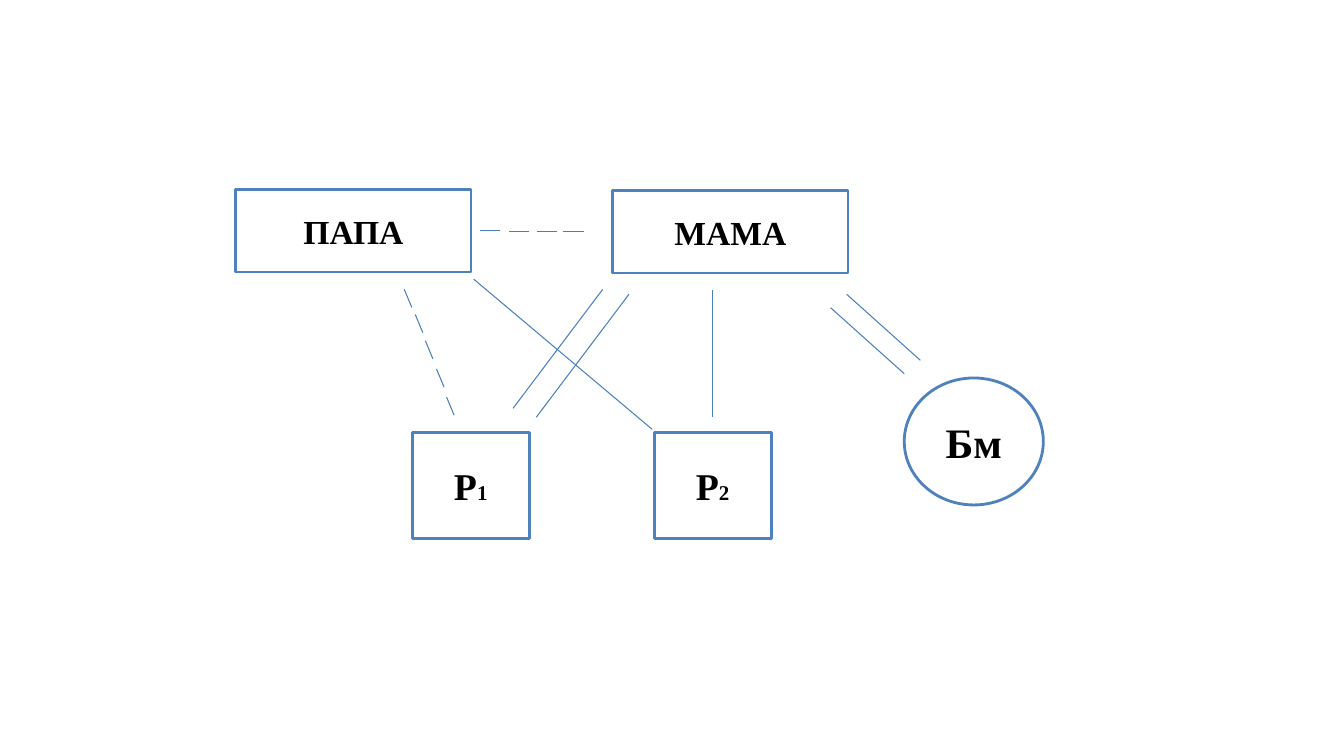
from dataclasses import dataclass

from lxml.etree import SubElement
from pptx import Presentation
from pptx.dml.color import RGBColor
from pptx.enum.shapes import MSO_CONNECTOR as Connector, MSO_SHAPE as Shape
from pptx.enum.text import MSO_ANCHOR as Anchor, PP_ALIGN as Align
from pptx.oxml.ns import qn
from pptx.slide import Slide
from pptx.util import Inches, Pt

COLORS = {"fill": "FFFFFF", "border": "4F81BD", "bond": "4B7EBC", "text": "000000"}
FONT = "Times New Roman"
WIDTH, HEIGHT = Inches(13.333), Inches(7.5)


# Positions and sizes are percentages of the slide's width and height
@dataclass
class Member:
    runs: list[tuple[str, int]]
    x: float
    y: float
    w: float
    h: float
    shape: Shape = Shape.RECTANGLE


@dataclass
class Bond:
    """Equal parallel strokes, given by their starts and common extent."""
    starts: list[tuple[float, float]]
    dx: float
    dy: float


PARENT = (17.5, 10.93)
CHILD = (8.7, 14)

MEMBERS = [
    Member([("ПАПА", 24)], 17.55, 25.07, *PARENT),
    Member([("МАМА", 24)], 45.6, 25.2, *PARENT),
    Member([("Бм", 30)], 67.28, 50, 10.35, 16.8, Shape.OVAL),
    Member([("Р", 27), ("2", 15)], 48.68, 57.2, *CHILD),
    Member([("Р", 27), ("1", 15)], 30.68, 57.2, *CHILD),
]

BONDS = [
    # Mother and grandmother
    Bond([(63, 38.93), (61.8, 40.7)], 5.48, 8.73),
    # Father and second child
    Bond([(35.25, 36.93)], 13.28, 19.87),
    # Mother and second child
    Bond([(53.02, 38.4)], 0, 16.8),
    # Mother and first child
    Bond([(46.8, 38.93)], -6.9, 16.27),
    Bond([(44.85, 38.27)], -6.67, 15.73),
    # Father and mother, broken
    Bond([(35.7, 30.53), (37.88, 30.67), (39.98, 30.67), (41.93, 30.67)], 1.5, 0),
    # Father and first child, broken
    Bond([(30.08, 38.27), (30.9, 41.6), (31.65, 45.07), (32.48, 48.8),
          (33.23, 52.53)], 0.56, 2.4),
]


def across(share: float) -> int:
    return round(WIDTH * share / 100)


def down(share: float) -> int:
    return round(HEIGHT * share / 100)


def color(name: str) -> RGBColor:
    return RGBColor.from_string(COLORS[name])


def draw_member(slide: Slide, m: Member) -> None:
    sp = slide.shapes.add_shape(m.shape, across(m.x), down(m.y), across(m.w), down(m.h))
    sp.shadow.inherit = False
    sp.fill.solid()
    sp.fill.fore_color.rgb = color("fill")
    sp.line.color.rgb = color("border")
    sp.line.width = Pt(2)
    tf = sp.text_frame
    tf.vertical_anchor = Anchor.MIDDLE
    p = tf.paragraphs[0]
    p.alignment = Align.CENTER
    for text, size in m.runs:
        r = p.add_run()
        r.text = text
        r.font.name = FONT
        r.font.size = Pt(size)
        r.font.bold = True
        r.font.color.rgb = color("text")


def draw_bond(slide: Slide, bond: Bond) -> None:
    for x, y in bond.starts:
        line = slide.shapes.add_connector(
            Connector.STRAIGHT, across(x), down(y),
            across(x + bond.dx), down(y + bond.dy))
        line.line.color.rgb = color("bond")
        line.line.width = Pt(0.75)
        SubElement(line._element.spPr, qn("a:effectLst"))


def main() -> None:
    prs = Presentation()
    prs.slide_width, prs.slide_height = WIDTH, HEIGHT
    slide = prs.slides.add_slide(prs.slide_layouts[6])
    for member in MEMBERS:
        draw_member(slide, member)
    for bond in BONDS:
        draw_bond(slide, bond)
    prs.save("out.pptx")


if __name__ == "__main__":
    main()
